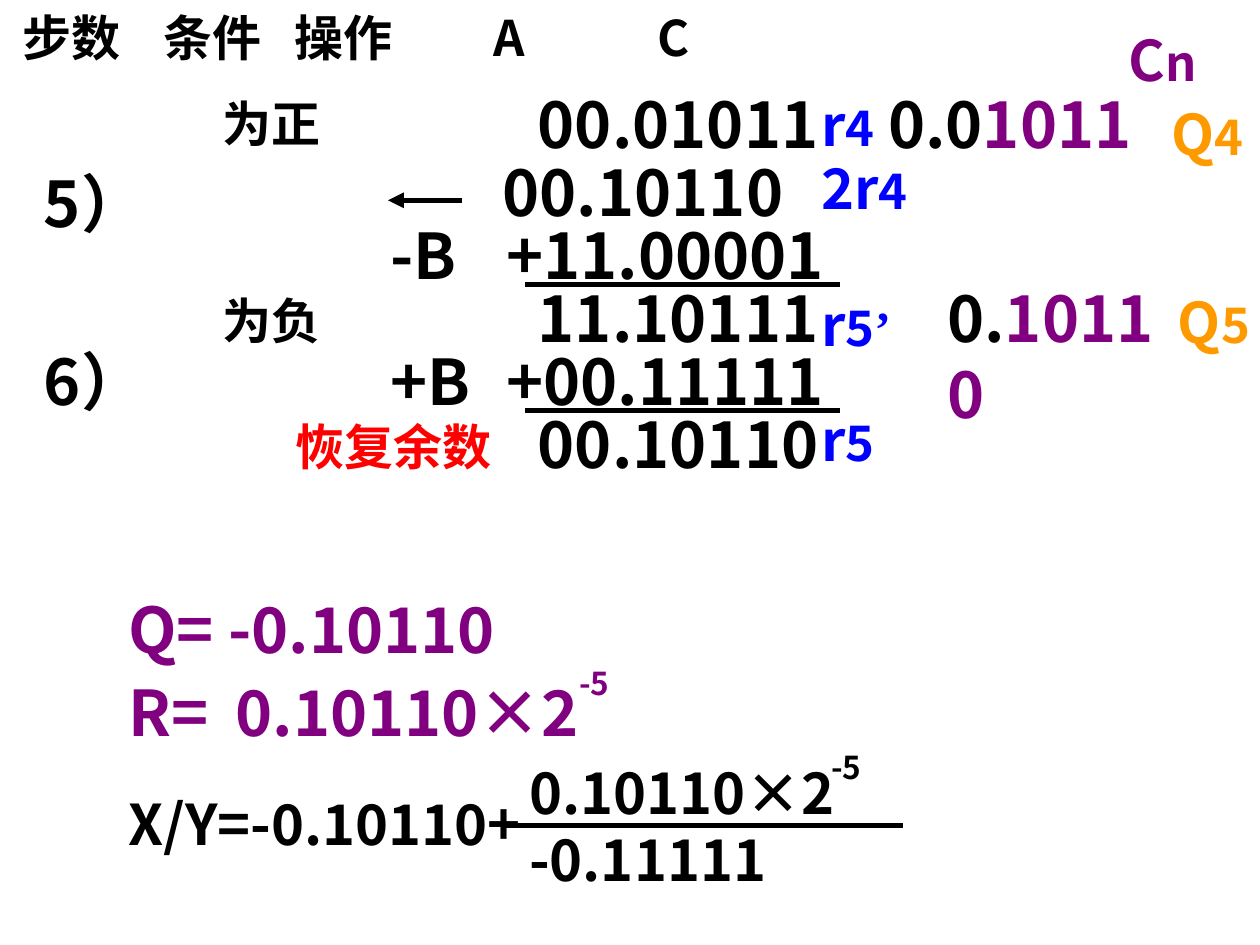
"""Build the slide showing the last steps of a restoring division and its result."""
from lxml.etree import SubElement
from pptx import Presentation
from pptx.dml.color import RGBColor
from pptx.enum.shapes import MSO_CONNECTOR as CONN
from pptx.enum.text import MSO_AUTO_SIZE as FIT, MSO_ANCHOR as ANCHOR
from pptx.oxml.ns import qn
from pptx.util import Inches, Pt

BLACK = RGBColor(0, 0, 0)
PURPLE = RGBColor(0x80, 0, 0x80)
BLUE = RGBColor(0, 0, 0xFF)
RED = RGBColor(0xFF, 0, 0)
ORANGE = RGBColor(0xFF, 0x99, 0)
FONT = "Noto Sans CJK SC"
HEIGHT = {36: 0.7, 32: 0.63, 28: 0.57, 18: 0.5}

STEP_X, COND_X, OP_X, SUM_X, A_X, REM_X, RESULT_X, FRAC_X = (
    0.25, 1.67, 3, 3.92, 4.17, 6.42, 0.92, 4)

HEADINGS = [
    (0.08, 0.14, 9.58, [("步数\t条件\t操作\tA\tC", 28, BLACK)],
     {"height": 0.43, "spacing": 0.7, "tabs": (1.12, 2.16, 3.74, 5.04)}),
    (8.86, 0.15, 0.92, [("C", 32, PURPLE), ("n", 28, PURPLE)]),
]
STEPS = [(STEP_X, y, 1.17, [(t, 36, BLACK)]) for y, t in [(1.26, "5）"), (2.67, "6）")]]
CONDITIONS = [(x, y, w, [(t, 28, c)]) for x, y, w, t, c in [
    (COND_X, 0.69, 1, "为正", BLACK),
    (COND_X, 2.26, 1.08, "为负", BLACK),
    (2.25, 3.26, 1.92, "恢复余数", RED),
]]
SUMS = [(x, y, 2.83, [(t, 36, BLACK)]) for x, y, t in [
    (3.89, 1.17, "00.10110"),
    (OP_X, 1.67, "-B"), (SUM_X, 1.67, "+11.00001"),
    (A_X, 2.17, "11.10111"),
    (OP_X, 2.67, "+B"), (SUM_X, 2.67, "+00.11111"),
    (A_X, 3.17, "00.10110"),
]]
QUOTIENTS = [
    (A_X, 0.84, 5.83, [("00.01011\t0.0", 36, BLACK), ("1011", 36, PURPLE)],
     {"height": 0.46, "spacing": 0.6, "tabs": (2.78,)}),
    (7.42, 2.17, 2.08, [("0.", 36, BLACK), ("10110", 36, PURPLE)]),
]
DIGITS = [(x, y, 0.83, [("Q", 32, ORANGE), (n, 28, ORANGE)], {"height": 0.42, "spacing": 0.6})
          for x, y, n in [(9.2, 0.93, "4"), (9.25, 2.42, "5")]]
REMAINDERS = [(REM_X, y, 0.92, [(r, 32, BLUE), (n, 28, BLUE), *mark]) for y, r, n, mark in [
    (0.67, "r", "4", []),
    (1.17, "2r", "4", []),
    (2.26, "r", "5", [("’", 28, BLUE, "Times New Roman")]),
    (3.17, "r", "5", []),
]]
QUOTIENT = [(RESULT_X, 4.64, 3.83, [("Q= -0.10110", 36, PURPLE)])]
REMAINDER = [
    (RESULT_X, 5.3, 4.5, [("R=\t0.10110×2", 36, PURPLE)], {"tabs": (0.85,)}),
    (4.5, 5.22, 0.67, [("-5", 18, PURPLE)]),
]
FRACTION = [
    (RESULT_X, 6.22, 3.5, [("X/Y=-0.10110+", 32, BLACK)]),
    (FRAC_X + 0.1, 5.97, 2.82, [("0.10110×2", 32, BLACK)]),
    (6.5, 5.89, 0.67, [("-5", 18, BLACK)]),
    (FRAC_X + 0.1, 6.5, 2.82, [("-0.11111", 32, BLACK)]),
]
SUM_LINES = [(A_X, 6.67, 2.26), (A_X, 6.67, 3.26)]
SHIFT_ARROW = (3.08, 3.67, 1.59)
FRACTION_BAR = (FRAC_X, 7.17, 6.55)


def add_text(shapes, x, y, w, runs, options={}):
    h = options.get("height", HEIGHT[runs[0][1]])
    tf = shapes.add_textbox(*map(Inches, (x, y, w, h))).text_frame
    for name, value in {"word_wrap": True, "auto_size": FIT.SHAPE_TO_FIT_TEXT,
                        "vertical_anchor": ANCHOR.TOP}.items():
        setattr(tf, name, value)
    p = tf.paragraphs[0]
    if "spacing" in options:
        p.line_spacing = options["spacing"]
    if "tabs" in options:
        tabs = SubElement(p._p.get_or_add_pPr(), qn("a:tabLst"))
        for pos in options["tabs"]:
            SubElement(tabs, qn("a:tab"), pos=str(Inches(pos)), algn="l")
    for text, size, color, *font in runs:
        r = p.add_run()
        r.text = text
        face = font[0] if font else FONT
        for name, value in {"size": Pt(size), "bold": True, "name": face}.items():
            setattr(r.font, name, value)
        r.font.color.rgb = color
        SubElement(r._r.get_or_add_rPr(), qn("a:ea"), typeface=face)


def add_line(shapes, x1, x2, y, arrow=False):
    line = shapes.add_connector(CONN.STRAIGHT, *map(Inches, (x1, y, x2, y)))
    line.line.color.rgb = BLACK
    line.line.width = Pt(3)
    if arrow:
        SubElement(line.line._get_or_add_ln(), qn("a:headEnd"), type="triangle")
    SubElement(line._element.spPr, qn("a:effectLst"))


prs = Presentation()
prs.slide_width, prs.slide_height = Inches(10), Inches(7.5)
s = prs.slides.add_slide(prs.slide_layouts[6])

for item in (HEADINGS + STEPS + CONDITIONS + SUMS + QUOTIENTS + DIGITS
             + REMAINDERS + QUOTIENT):
    add_text(s.shapes, *item)
for line in SUM_LINES:
    add_line(s.shapes, *line)
add_line(s.shapes, *SHIFT_ARROW, arrow=True)

for items, bars in [(REMAINDER, []), (FRACTION, [FRACTION_BAR])]:
    group = s.shapes.add_group_shape()
    for item in items:
        add_text(group.shapes, *item)
    for bar in bars:
        add_line(group.shapes, *bar)

prs.save("out.pptx")
